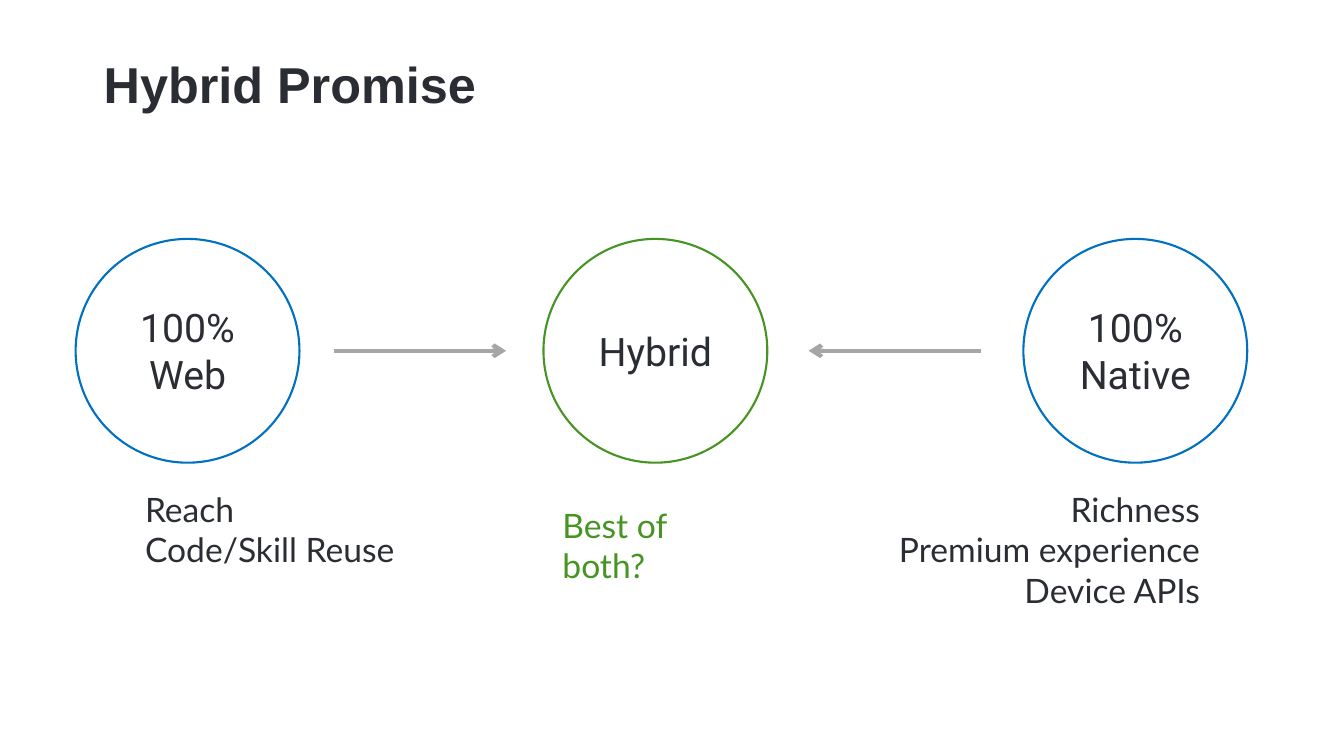
from lxml.etree import SubElement
from pptx import Presentation
from pptx.dml.color import RGBColor
from pptx.enum.shapes import MSO_CONNECTOR, MSO_SHAPE
from pptx.enum.text import MSO_ANCHOR, PP_ALIGN
from pptx.oxml.ns import qn
from pptx.util import Inches, Pt

INK, BLUE, GREEN, GRAY = "2A2D33", "0070C0", "469423", "A6A6A6"
TITLE = "Hybrid Promise"
CIRCLES = [("100% Web", 0.75, BLUE), ("100% Native", 10.15, BLUE), ("Hybrid", 5.39, GREEN)]
CIRCLE_TOP, DIAMETER = 2.37, 2.22
ARROWS = [(3.31, 5.02), (9.73, 8.02)]
CAPTIONS = [
    (["Reach", "Code/Skill Reuse"], (1.34, 4.8, 2.69, 0.91), INK, PP_ALIGN.LEFT, False, 0.1),
    (["Richness", "Premium experience", "Device APIs"], (8.77, 4.8, 3.23, 1.31), INK, PP_ALIGN.RIGHT, False, 0.1),
    (["Best of both?"], (5.48, 4.96, 2.12, 0.5), GREEN, PP_ALIGN.LEFT, True, 0.4),
]


def color(value):
    """Turn a hex string into a colour."""
    return RGBColor.from_string(value)


def write(box, lines, font, size, ink, align, bold=False):
    """Write one paragraph per line and return the paragraphs."""
    frame = box.text_frame
    for index, line in enumerate(lines):
        para = frame.add_paragraph() if index else frame.paragraphs[0]
        para.alignment = align
        span = para.add_run()
        span.text = line
        span.font.name, span.font.size, span.font.bold = font, Pt(size), bold
        span.font.color.rgb = color(ink)
    return frame.paragraphs


def add_title(page):
    """Add the slide heading."""
    box = page.shapes.add_textbox(Inches(0.93), Inches(0.57), Inches(12.4), Inches(0.6))
    box.text_frame.word_wrap = True
    box.text_frame.vertical_anchor = MSO_ANCHOR.MIDDLE
    write(box, [TITLE], "Arial", 36, INK, PP_ALIGN.LEFT, True)[0].line_spacing = 0.9


def add_circle(page, label, left, outline):
    """Add an outlined circle with a centred label."""
    circle = page.shapes.add_shape(
        MSO_SHAPE.OVAL, Inches(left), Inches(CIRCLE_TOP), Inches(DIAMETER), Inches(DIAMETER))
    circle.shadow.inherit = False
    circle.fill.background()
    circle.line.color.rgb = color(outline)
    circle.line.width = Pt(1.5)
    circle.text_frame.word_wrap = True
    circle.text_frame.vertical_anchor = MSO_ANCHOR.MIDDLE
    write(circle, [label], "Roboto", 28, INK, PP_ALIGN.CENTER)


def add_arrow(page, start, end):
    """Add a level arrow at the middle of the circles."""
    middle = Inches(CIRCLE_TOP + DIAMETER / 2)
    arrow = page.shapes.add_connector(
        MSO_CONNECTOR.STRAIGHT, Inches(start), middle, Inches(end), middle)
    arrow.line.color.rgb = color(GRAY)
    arrow.line.width = Pt(3)
    SubElement(arrow.line._get_or_add_ln(), qn("a:tailEnd"), type="arrow")
    SubElement(arrow._element.spPr, qn("a:effectLst"))


def add_caption(page, lines, place, ink, align, wrap, right_margin):
    """Add the notes below a circle."""
    box = page.shapes.add_textbox(*map(Inches, place))
    box.text_frame.word_wrap = wrap
    box.text_frame.margin_right = Inches(right_margin)
    write(box, lines, "Lato", 24, ink, align)


def main():
    """Build the slide and save it."""
    deck = Presentation()
    deck.slide_width, deck.slide_height = Inches(13.33), Inches(7.5)
    page = deck.slides.add_slide(deck.slide_layouts[6])
    add_title(page)
    for circle in CIRCLES:
        add_circle(page, *circle)
    for arrow in ARROWS:
        add_arrow(page, *arrow)
    for caption in CAPTIONS:
        add_caption(page, *caption)
    deck.save("out.pptx")


if __name__ == "__main__":
    main()
